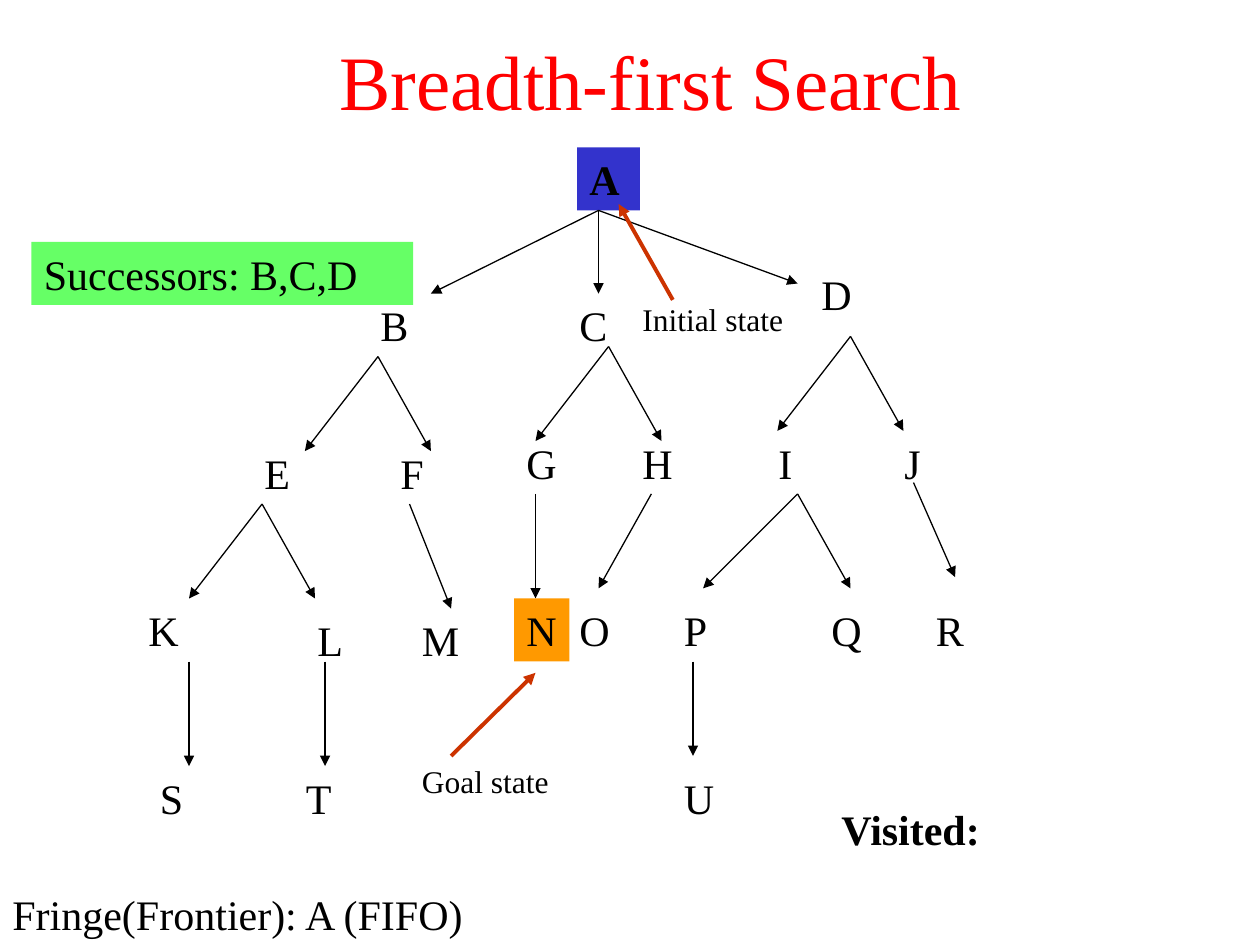
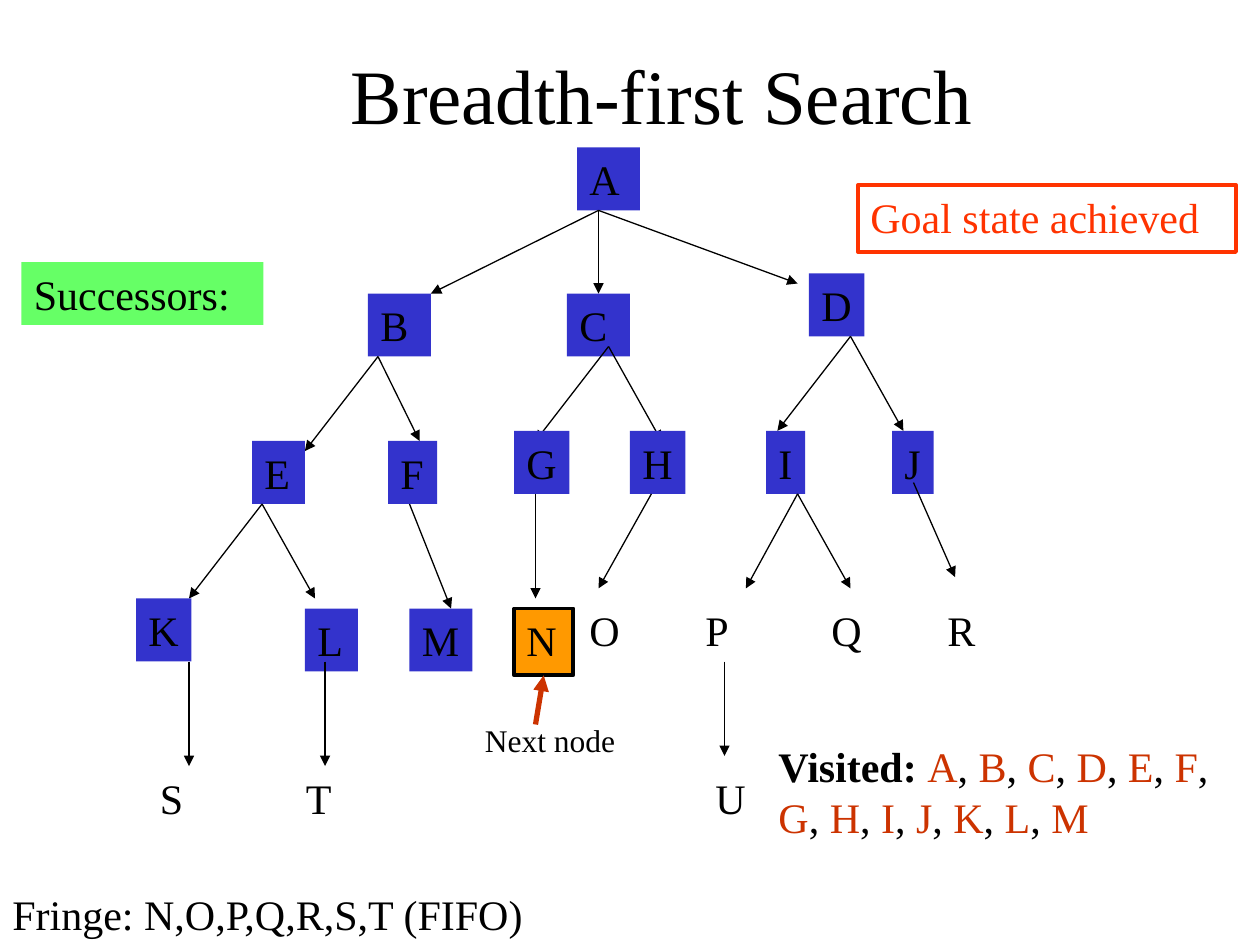
from dataclasses import dataclass, replace
from typing import Optional

from lxml import etree
from pptx import Presentation
from pptx.dml.color import RGBColor
from pptx.enum import shapes, text
from pptx.oxml.ns import qn
from pptx.util import Inches, Pt

# Shared style
BLACK = RGBColor(0x00, 0x00, 0x00)
RED = RGBColor(0xFF, 0x00, 0x00)
ORANGE_RED = RGBColor(0xFF, 0x33, 0x00)
RUST = RGBColor(0xCC, 0x33, 0x00)
BLUE = RGBColor(0x33, 0x33, 0xCC)
ORANGE = RGBColor(0xFF, 0x99, 0x00)
GREEN = RGBColor(0x66, 0xFF, 0x66)
FONT = "Times New Roman"
TITLE = "Breadth-first Search"
TOP, BOTTOM = 0, 2  # connection sites


@dataclass(frozen=True)
class Box:
    text: str
    left: float
    top: float
    width: float
    height: float = 0.5
    size: int = 24
    color: RGBColor = BLACK
    bold: bool = False
    fill: Optional[RGBColor] = None
    line: Optional[RGBColor] = None
    centered: bool = False


@dataclass(frozen=True)
class Arrow:
    x1: float
    y1: float
    x2: float
    y2: float
    color: RGBColor = BLACK
    weight: float = 0.75


# The search tree: nodes by label, edges by parent and child
LEVELS = ("A", "BCD", "EFGHIJ", "KLMNOPQR", "STU")
NODES = {n.text: n for n in (
    Box("A", 4.58, 1.17, 0.5),
    Box("B", 2.92, 2.33, 0.5),
    Box("C", 4.5, 2.33, 0.5),
    Box("D", 6.42, 2.08, 0.44),
    Box("E", 2, 3.5, 0.42),
    Box("F", 3.08, 3.5, 0.39),
    Box("G", 4.08, 3.42, 0.44),
    Box("H", 5, 3.42, 0.44),
    Box("I", 6.08, 3.42, 0.31),
    Box("J", 7.08, 3.42, 0.33),
    Box("K", 1.08, 4.75, 0.44),
    Box("L", 2.42, 4.83, 0.42),
    Box("M", 3.25, 4.83, 0.5),
    Box("N", 4.08, 4.75, 0.44, fill=ORANGE),
    Box("O", 4.5, 4.75, 0.44),
    Box("P", 5.33, 4.75, 0.39),
    Box("Q", 6.5, 4.75, 0.44),
    Box("R", 7.33, 4.75, 0.42),
    Box("S", 1.17, 6.08, 0.39),
    Box("T", 2.33, 6.08, 0.4),
    Box("U", 5.33, 6.08, 0.44),
)}
EDGES = {
    "AB": Arrow(4.75, 1.67, 3.42, 2.33),
    "AC": Arrow(4.75, 1.67, 4.75, 2.33),
    "AD": Arrow(4.75, 1.67, 6.33, 2.25),
    "BE": Arrow(3, 2.83, 2.42, 3.58),
    "BF": Arrow(3, 2.83, 3.42, 3.58),
    "CG": Arrow(4.83, 2.75, 4.25, 3.5),
    "CH": Arrow(4.83, 2.75, 5.25, 3.5),
    "DI": Arrow(6.75, 2.67, 6.17, 3.42),
    "DJ": Arrow(6.75, 2.67, 7.17, 3.42),
    "EK": Arrow(2.08, 4, 1.5, 4.75),
    "EL": Arrow(2.08, 4, 2.5, 4.75),
    "FM": Arrow(3.25, 4, 3.58, 4.83),
    "GN": Arrow(4.25, 3.92, 4.25, 4.75),
    "HO": Arrow(5.17, 3.92, 4.75, 4.67),
    "IP": Arrow(6.33, 3.92, 5.58, 4.67),
    "IQ": Arrow(6.33, 3.92, 6.75, 4.67),
    "JR": Arrow(7.25, 3.83, 7.58, 4.58),
    "KS": Arrow(1.5, 5.25, 1.5, 6.08),
    "LT": Arrow(2.58, 5.25, 2.58, 6.08),
    "PU": Arrow(5.5, 5.25, 5.5, 6),
}


def add_box(s, box: Box):
    """Draw a text box, or a rectangle when it has a fill or an outline."""
    place = [Inches(v) for v in (box.left, box.top, box.width, box.height)]
    if box.fill or box.line:
        sp = s.shapes.add_shape(shapes.MSO_SHAPE.RECTANGLE, *place)
        sp.shadow.inherit = False
    else:
        sp = s.shapes.add_textbox(*place)
    if box.fill:
        sp.fill.solid()
        sp.fill.fore_color.rgb = box.fill
    else:
        sp.fill.background()
    if box.line:
        sp.line.color.rgb = box.line
        sp.line.width = Pt(2.25)
    else:
        sp.line.fill.background()
    tf = sp.text_frame
    tf.word_wrap = True
    tf.vertical_anchor = text.MSO_ANCHOR.TOP
    p = tf.paragraphs[0]
    p.text = box.text
    p.alignment = text.PP_ALIGN.CENTER if box.centered else text.PP_ALIGN.LEFT
    p.font.name = FONT
    p.font.size = Pt(box.size)
    p.font.bold = box.bold
    p.font.color.rgb = box.color
    return sp


def add_arrow(s, arrow: Arrow):
    ends = [Inches(v) for v in (arrow.x1, arrow.y1, arrow.x2, arrow.y2)]
    c = s.shapes.add_connector(shapes.MSO_CONNECTOR.STRAIGHT, *ends)
    c.line.color.rgb = arrow.color
    c.line.width = Pt(arrow.weight)
    etree.SubElement(c.line._get_or_add_ln(), qn("a:tailEnd"), type="triangle")
    etree.SubElement(c._element.spPr, qn("a:effectLst"))
    return c


def add_tree(s, nodes: dict, edges: dict) -> dict:
    """Draw each level, then the edges that leave it; return the node shapes."""
    drawn, lines = {}, {}
    for level in LEVELS:
        for label in level:
            drawn[label] = add_box(s, nodes[label])
        for pair, edge in edges.items():
            if pair[0] in level:
                lines[pair] = add_arrow(s, edge)
    lines["AC"].end_connect(drawn["C"], TOP)
    return drawn


def add_start_slide(prs):
    s = prs.slides.add_slide(prs.slide_layouts[6])
    add_tree(s, NODES | {"A": replace(NODES["A"], fill=BLUE, bold=True)}, EDGES)
    # Pointers to the initial and goal states
    add_arrow(s, Arrow(5.34, 2.38, 4.91, 1.62, RUST, 2.25))
    add_arrow(s, Arrow(3.58, 6, 4.25, 5.34, RUST, 2.25))
    for box in (
        Box("Initial state", 5, 2.33, 1.4, 0.4, size=18),
        Box("Goal state", 3.25, 6, 1.3, 0.4, size=18),
        Box("Fringe(Frontier): A (FIFO)", 0, 7, 4.46),
        Box("Successors: B,C,D", 0.25, 1.92, 3.03, fill=GREEN),
        Box("Visited:", 6.58, 6.33, 1.65, bold=True),
        Box(TITLE, 1.33, 0.22, 7.67, 0.83, 44, RED, centered=True),
    ):
        add_box(s, box)


def add_goal_slide(prs):
    s = prs.slides.add_slide(prs.slide_layouts[6])
    visited = "ABCDEFGHIJKLM"
    nodes = NODES | {v: replace(NODES[v], fill=BLUE) for v in visited}
    nodes |= {
        "D": replace(nodes["D"], top=2.17),
        "N": replace(nodes["N"], top=4.83, width=0.47, height=0.53, line=BLACK),
        "O": replace(nodes["O"], left=4.58),
        "P": replace(nodes["P"], left=5.5),
        "R": replace(nodes["R"], left=7.42),
        "U": replace(nodes["U"], left=5.58),
    }
    edges = EDGES | {
        "BF": Arrow(3, 2.83, 3.33, 3.5),
        "IP": Arrow(6.33, 3.92, 5.92, 4.67),
        "PU": Arrow(5.75, 5.25, 5.75, 6),
    }
    drawn = add_tree(s, nodes, edges)
    # Pointer to the next node
    pointer = add_arrow(s, Arrow(4.25, 5.75, 4.33, 5.33, RUST, 3))
    pointer.end_connect(drawn["N"], BOTTOM)
    for box in (
        Box("Next node", 3.75, 5.67, 1.35, 0.4, size=18),
        Box("Fringe: N,O,P,Q,R,S,T (FIFO)", 0, 7, 4.5),
        Box("Successors:", 0.17, 2.08, 1.92, fill=GREEN),
        Box(TITLE, 1.42, 0.33, 7.67, 0.83, 44, centered=True),
        Box("Goal state achieved", 6.81, 1.47, 3, 0.53, color=ORANGE_RED,
            line=ORANGE_RED),
    ):
        add_box(s, box)
    # Visited list: coloured labels, black commas
    sp = add_box(s, Box("Visited: ", 6.08, 5.83, 3.92, 0.9))
    p = sp.text_frame.paragraphs[0]
    p.runs[0].font.bold = True
    for i, label in enumerate(visited):
        if i:
            p.add_run().text = ", "
        r = p.add_run()
        r.text = label
        r.font.color.rgb = RUST


def main():
    prs = Presentation()
    prs.slide_width, prs.slide_height = Inches(10), Inches(7.5)
    add_start_slide(prs)
    add_goal_slide(prs)
    prs.save("out.pptx")


if __name__ == "__main__":
    main()
